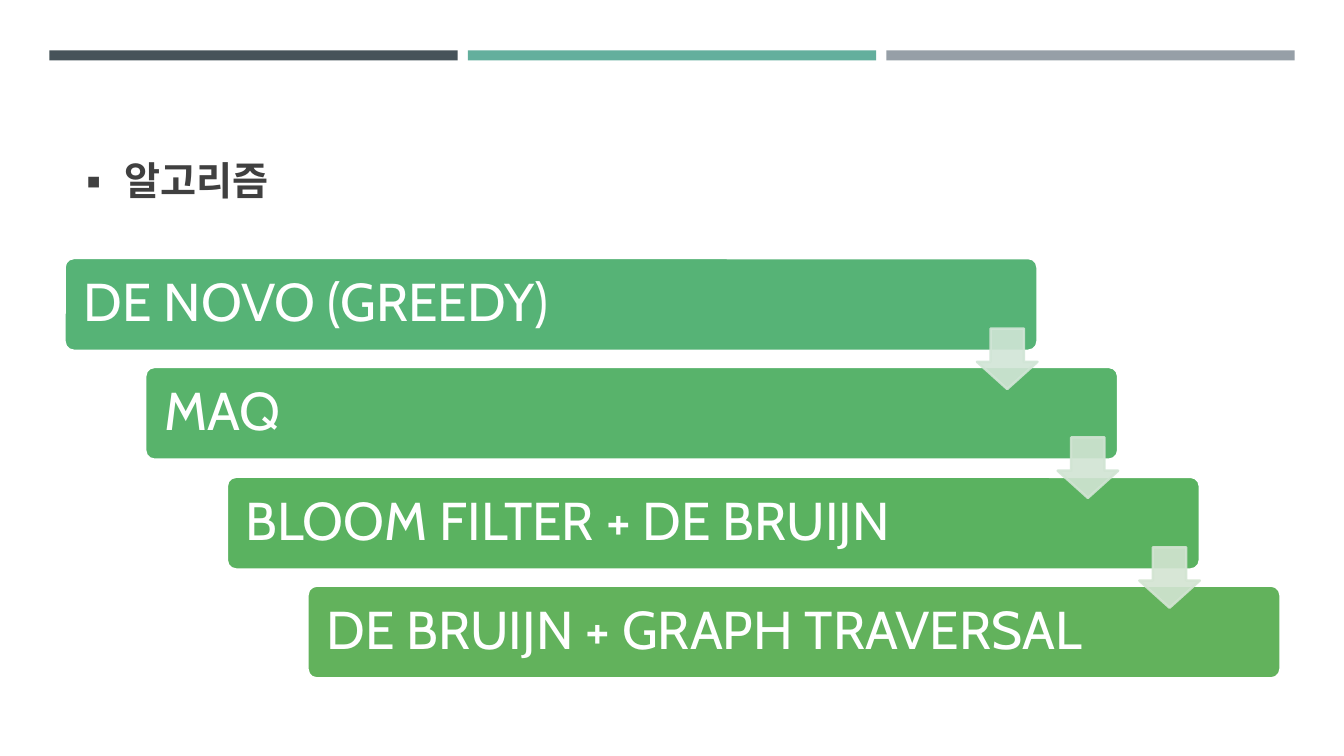
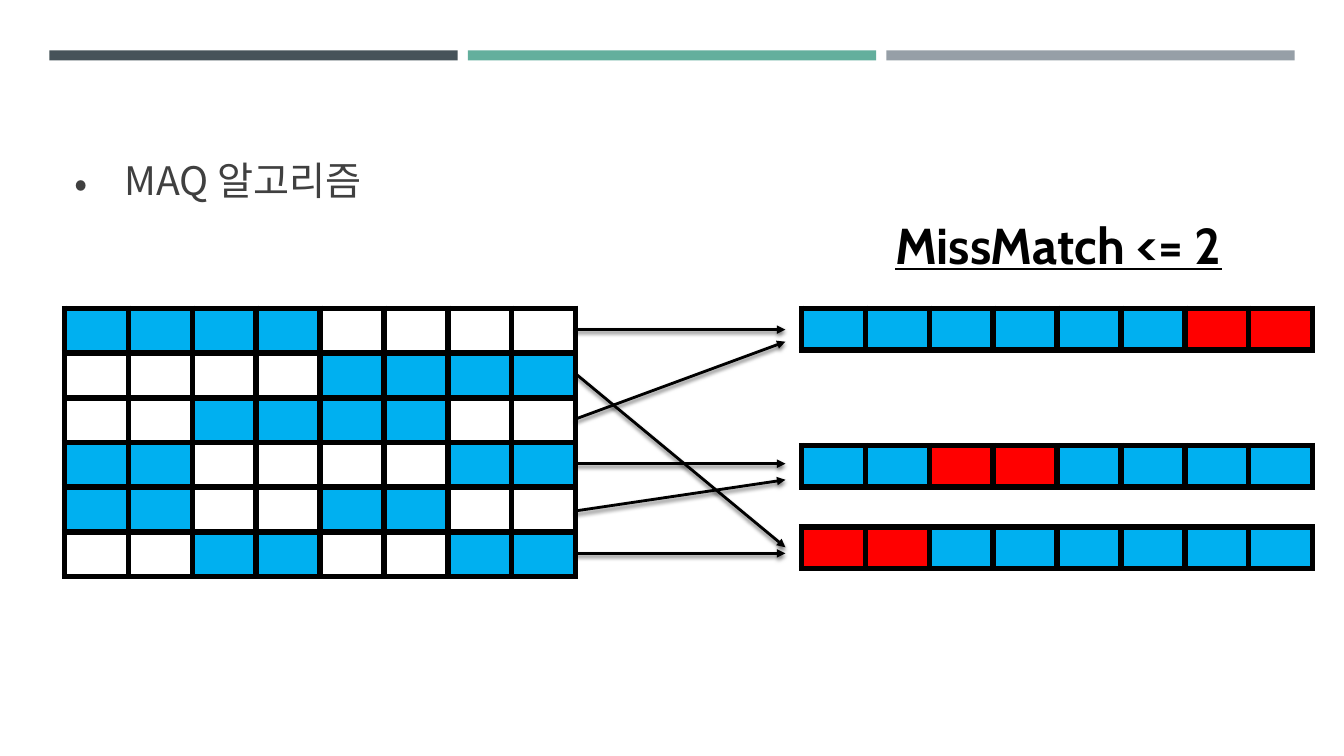
from dataclasses import dataclass

import lxml.etree
import pptx
import pptx.dml.color
import pptx.enum.shapes
import pptx.enum.text
import pptx.oxml.ns
import pptx.presentation
import pptx.shapes.autoshape
import pptx.slide
import pptx.text.text
import pptx.util

EMU_PER_PX = 9144  # 100 px to the inch
SHAPE = pptx.enum.shapes.MSO_SHAPE
ANCHOR = pptx.enum.text.MSO_ANCHOR
qn = pptx.oxml.ns.qn


@dataclass(frozen=True)
class Theme:
    bands: tuple[str, ...] = ("465359", "63AF9D", "969FA7")
    title: str = "404040"
    ink: str = "000000"
    paper: str = "FFFFFF"
    match: str = "00B0F0"
    mismatch: str = "FF0000"
    title_font: str = "Noto Sans CJK KR"
    body_font: str = "Cabin"
    title_size: int = 28
    step_size: int = 38
    rule_size: int = 36
    outline: float = 1.75
    arrow: float = 2
    border: float = 4.5


@dataclass(frozen=True)
class Box:
    x: int
    y: int
    w: int
    h: int


@dataclass(frozen=True)
class Step:
    text: str
    fill: str
    arrow: str | None


@dataclass(frozen=True)
class Grid:
    """Cells are letters: M match, X mismatch, . empty."""
    box: Box
    rows: tuple[str, ...]


@dataclass(frozen=True)
class Link:
    y_from: int
    y_to: int


THEME = Theme()
CELL_FILLS = {"M": THEME.match, "X": THEME.mismatch, ".": THEME.paper}

STEPS = (
    Step("DE NOVO (GREEDY)", "56B376", "D1E5D6"),
    Step("MAQ", "58B36B", "D1E4D3"),
    Step("BLOOM FILTER + DE BRUIJN", "5AB260", "D3E4D2"),
    Step("DE BRUIJN + GRAPH TRAVERSAL", "62B25C", None),
)
GRIDS = (
    Grid(Box(64, 306, 507, 266),
         ("MMMM....", "....MMMM", "..MMMM..", "MM....MM", "MM..MM..", "..MM..MM")),
    Grid(Box(795, 306, 507, 41), ("MMMMMMXX",)),
    Grid(Box(795, 442, 507, 41), ("MMXXMMMM",)),
    Grid(Box(795, 523, 507, 41), ("XXMMMMMM",)),
)
LINKS = (Link(327, 327), Link(416, 339), Link(460, 460),
         Link(507, 476), Link(370, 543), Link(549, 549))


def px(n: int) -> pptx.util.Emu:
    return pptx.util.Emu(n * EMU_PER_PX)


def place(box: Box) -> tuple[pptx.util.Emu, ...]:
    return px(box.x), px(box.y), px(box.w), px(box.h)


def rgb(color: str) -> pptx.dml.color.RGBColor:
    return pptx.dml.color.RGBColor.from_string(color)


def sub(parent: lxml.etree._Element, tag: str, **attrs: object) -> lxml.etree._Element:
    return lxml.etree.SubElement(parent, qn(tag), {k: str(v) for k, v in attrs.items()})


def add_box(s: pptx.slide.Slide, kind: SHAPE, box: Box, fill: str,
            line: str | None = None) -> pptx.shapes.autoshape.Shape:
    sp = s.shapes.add_shape(kind, *place(box))
    sp.shadow.inherit = False
    sp.fill.solid()
    sp.fill.fore_color.rgb = rgb(fill)
    if line:
        sp.line.color.rgb = rgb(line)
        sp.line.width = pptx.util.Pt(THEME.outline)
    else:
        sp.line.fill.background()
    return sp


def add_run(p: pptx.text.text._Paragraph, text: str, font: str, size: int, color: str,
            bold: bool = False, underline: bool = False) -> None:
    r = p.add_run()
    r.text = text
    r.font.size = pptx.util.Pt(size)
    r.font.bold = bold
    r.font.underline = underline
    r.font.color.rgb = rgb(color)
    r.font.name = font
    sub(r.font._element, "a:ea", typeface=font)


def add_text_box(s: pptx.slide.Slide, box: Box) -> pptx.text.text.TextFrame:
    tf = s.shapes.add_textbox(*place(box)).text_frame
    tf.word_wrap = True
    return tf


def add_slide(prs: pptx.presentation.Presentation, title: str, bullet: str,
              bold: bool) -> pptx.slide.Slide:
    """Blank slide with the three top bands and a bulleted title."""
    s = prs.slides.add_slide(prs.slide_layouts[6])
    for i, color in enumerate(THEME.bands):
        add_box(s, SHAPE.RECTANGLE, Box(49 + 415 * i, 50, 405, 10), color)
    tf = add_text_box(s, Box(64, 77, 1206, 130))
    tf.vertical_anchor = ANCHOR.BOTTOM
    p = tf.paragraphs[0]
    pPr = p._p.get_or_add_pPr()
    pPr.set("marL", str(px(50)))
    pPr.set("indent", str(px(-50)))
    sub(pPr, "a:buFont", typeface=THEME.title_font)
    sub(pPr, "a:buChar", char=bullet)
    add_run(p, title, THEME.title_font, THEME.title_size, THEME.title, bold)
    return s


def add_step(s: pptx.slide.Slide, step: Step, box: Box) -> None:
    sp = add_box(s, SHAPE.ROUNDED_RECTANGLE, box, step.fill, THEME.paper)
    sp.adjustments[0] = 0.1
    tf = sp.text_frame
    tf.word_wrap = True
    tf.vertical_anchor = ANCHOR.MIDDLE
    tf.margin_left = tf.margin_right = tf.margin_top = tf.margin_bottom = px(16)
    p = tf.paragraphs[0]
    p.alignment = pptx.enum.text.PP_ALIGN.LEFT
    p.line_spacing = 0.9
    add_run(p, step.text, THEME.body_font, THEME.step_size, THEME.paper)


def add_step_arrow(s: pptx.slide.Slide, color: str, step_box: Box) -> None:
    size = 60
    box = Box(step_box.x + step_box.w - size, step_box.y + 70, size, size)
    sp = add_box(s, SHAPE.DOWN_ARROW, box, color, color)
    sp.adjustments[0], sp.adjustments[1] = 0.55, 0.45
    for clr in sp._element.spPr.iter(qn("a:srgbClr")):
        sub(clr, "a:alpha", val=90000)


def add_grid(s: pptx.slide.Slide, grid: Grid) -> None:
    n_rows, n_cols = len(grid.rows), len(grid.rows[0])
    tbl = s.shapes.add_table(n_rows, n_cols, *place(grid.box)).table
    tbl.first_row = tbl.horz_banding = False
    for col in tbl.columns:
        col.width = px(grid.box.w) // n_cols
    for row, marks in zip(tbl.rows, grid.rows):
        row.height = px(grid.box.h) // n_rows
        for cell, mark in zip(row.cells, marks):
            cell.margin_top = cell.margin_bottom = 0
            tcPr = cell._tc.get_or_add_tcPr()
            for side in ("a:lnL", "a:lnR", "a:lnT", "a:lnB"):
                ln = sub(tcPr, side, w=pptx.util.Pt(THEME.border))
                sub(sub(ln, "a:solidFill"), "a:srgbClr", val=THEME.ink)
            cell.fill.solid()
            cell.fill.fore_color.rgb = rgb(CELL_FILLS[mark])


def add_link(s: pptx.slide.Slide, link: Link) -> None:
    """Arrow with a soft shadow from the left grid to a right one."""
    cxn = s.shapes.add_connector(pptx.enum.shapes.MSO_CONNECTOR.STRAIGHT,
                                 px(570), px(link.y_from), px(779), px(link.y_to))
    cxn.line.color.rgb = rgb(THEME.ink)
    cxn.line.width = pptx.util.Pt(THEME.arrow)
    sub(cxn.line._get_or_add_ln(), "a:tailEnd", type="triangle")
    effects = sub(cxn._element.spPr, "a:effectLst")
    shadow = sub(effects, "a:outerShdw", blurRad=pptx.util.Pt(3), dist=pptx.util.Pt(2),
                 dir=90 * 60000, rotWithShape=0)
    sub(sub(shadow, "a:srgbClr", val=THEME.ink), "a:alpha", val=55000)


def build_steps_slide(prs: pptx.presentation.Presentation) -> None:
    s = add_slide(prs, "알고리즘", "▪", bold=True)
    boxes = [Box(64 + round(i * 241 / 3), 256 + round(i * 325 / 3), 965, 92)
             for i in range(len(STEPS))]
    for step, box in zip(STEPS, boxes):
        add_step(s, step, box)
    for step, box in zip(STEPS, boxes):
        if step.arrow:
            add_step_arrow(s, step.arrow, box)


def build_maq_slide(prs: pptx.presentation.Presentation) -> None:
    s = add_slide(prs, "MAQ 알고리즘", "•", bold=False)
    for grid in GRIDS:
        add_grid(s, grid)
    for link in LINKS:
        add_link(s, link)
    tf = add_text_box(s, Box(878, 207, 392, 71))
    add_run(tf.paragraphs[0], "MissMatch <= 2", THEME.body_font, THEME.rule_size,
            THEME.ink, bold=True, underline=True)


def main() -> None:
    prs = pptx.Presentation()
    prs.slide_width, prs.slide_height = px(1333), px(750)
    build_steps_slide(prs)
    build_maq_slide(prs)
    prs.save("out.pptx")


if __name__ == "__main__":
    main()
